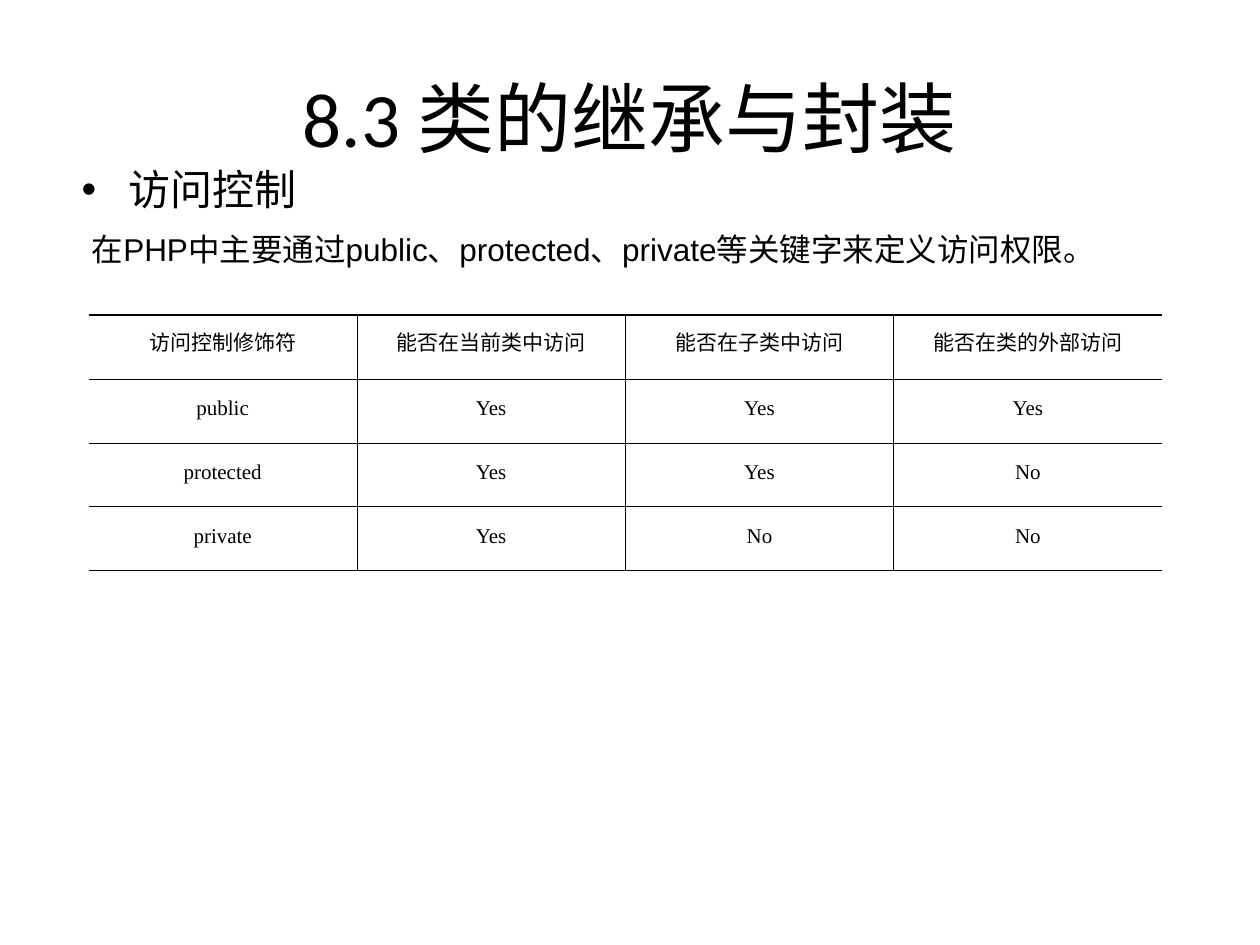
from pptx import Presentation
from pptx.dml.color import RGBColor
from pptx.enum.text import MSO_ANCHOR, PP_ALIGN
from pptx.oxml import parse_xml
from pptx.oxml.ns import nsdecls
from pptx.util import Pt

BLACK = "000000"
TITLE = "8.3 类的继承与封装"
TOPIC = "访问控制"
INTRO = "在PHP中主要通过public、protected、private等关键字来定义访问权限。"
ACCESS_ROWS = [
    ("访问控制修饰符", "能否在当前类中访问", "能否在子类中访问", "能否在类的外部访问"),
    ("public", "Yes", "Yes", "Yes"),
    ("protected", "Yes", "Yes", "No"),
    ("private", "Yes", "No", "No"),
]
TABLE_LEFT, TABLE_TOP = 50.6, 180
COLUMN_WIDTH, ROW_HEIGHT = 153.36, 36.54
THIN, THICK = 0.45, 0.75
BULLET_INDENT = 27


def color(value):
    return RGBColor.from_string(value)


def write(frame, text, size, font="Arial", align=PP_ALIGN.LEFT,
          anchor=MSO_ANCHOR.TOP, line_spacing=None, bullet=None):
    frame.word_wrap = True
    frame.vertical_anchor = anchor
    para = frame.paragraphs[0]
    para.alignment = align
    if line_spacing:
        para.line_spacing = Pt(line_spacing)
    if bullet:
        properties = para._p.get_or_add_pPr()
        properties.set("marL", str(Pt(BULLET_INDENT)))
        properties.set("indent", str(-Pt(BULLET_INDENT)))
        properties.append(parse_xml(f'<a:buFont {nsdecls("a")} typeface="Arial"/>'))
        properties.append(parse_xml(f'<a:buChar {nsdecls("a")} char="{bullet}"/>'))
    span = para.add_run()
    span.text = text
    span.font.name = font
    span.font.size = Pt(size)
    span.font.color.rgb = color(BLACK)


def add_text(page, text, left, top, width, height, size, **style):
    box = page.shapes.add_textbox(Pt(left), Pt(top), Pt(width), Pt(height))
    write(box.text_frame, text, size, **style)


def set_borders(cell, widths):
    """Draw the left, right, top and bottom borders; a width of 0 hides one."""
    properties = cell._tc.get_or_add_tcPr()
    for index, (side, width) in enumerate(zip("LRTB", widths)):
        paint = f'<a:solidFill><a:srgbClr val="{BLACK}"/></a:solidFill>' if width else "<a:noFill/>"
        properties.insert(index, parse_xml(
            f'<a:ln{side} {nsdecls("a")} w="{Pt(width)}">{paint}</a:ln{side}>'))


def add_access_table(page):
    row_count, column_count = len(ACCESS_ROWS), len(ACCESS_ROWS[0])
    table = page.shapes.add_table(
        row_count, column_count, Pt(TABLE_LEFT), Pt(TABLE_TOP),
        Pt(COLUMN_WIDTH * column_count), Pt(ROW_HEIGHT * row_count)).table
    table.first_row = table.horz_banding = False
    for column in table.columns:
        column.width = Pt(COLUMN_WIDTH)
    for r, values in enumerate(ACCESS_ROWS):
        table.rows[r].height = Pt(ROW_HEIGHT)
        for c, value in enumerate(values):
            cell = table.cell(r, c)
            cell.margin_left = cell.margin_right = Pt(5)
            cell.margin_top = cell.margin_bottom = Pt(3.6)
            cell.vertical_anchor = MSO_ANCHOR.MIDDLE
            cell.fill.background()
            write(cell.text_frame, value, 12, font="Times New Roman",
                  align=PP_ALIGN.CENTER, anchor=MSO_ANCHOR.MIDDLE, line_spacing=11)
            set_borders(cell, (
                THIN if c > 0 else 0,
                THIN if c < column_count - 1 else 0,
                THIN if r > 0 else THICK,
                THIN if r < row_count - 1 else THICK))


def main():
    deck = Presentation()
    deck.slide_width, deck.slide_height = Pt(720), Pt(540)
    page = deck.slides.add_slide(deck.slide_layouts[6])
    add_text(page, TITLE, 36, 21.6, 648, 90, 44, font="Calibri",
             align=PP_ALIGN.CENTER, anchor=MSO_ANCHOR.MIDDLE)
    add_text(page, TOPIC, 39.6, 90, 646.56, 36, 24, bullet="•")
    add_access_table(page)
    add_text(page, INTRO, 45.36, 128.16, 618.48, 28.8, 18)
    deck.save("out.pptx")


if __name__ == "__main__":
    main()
